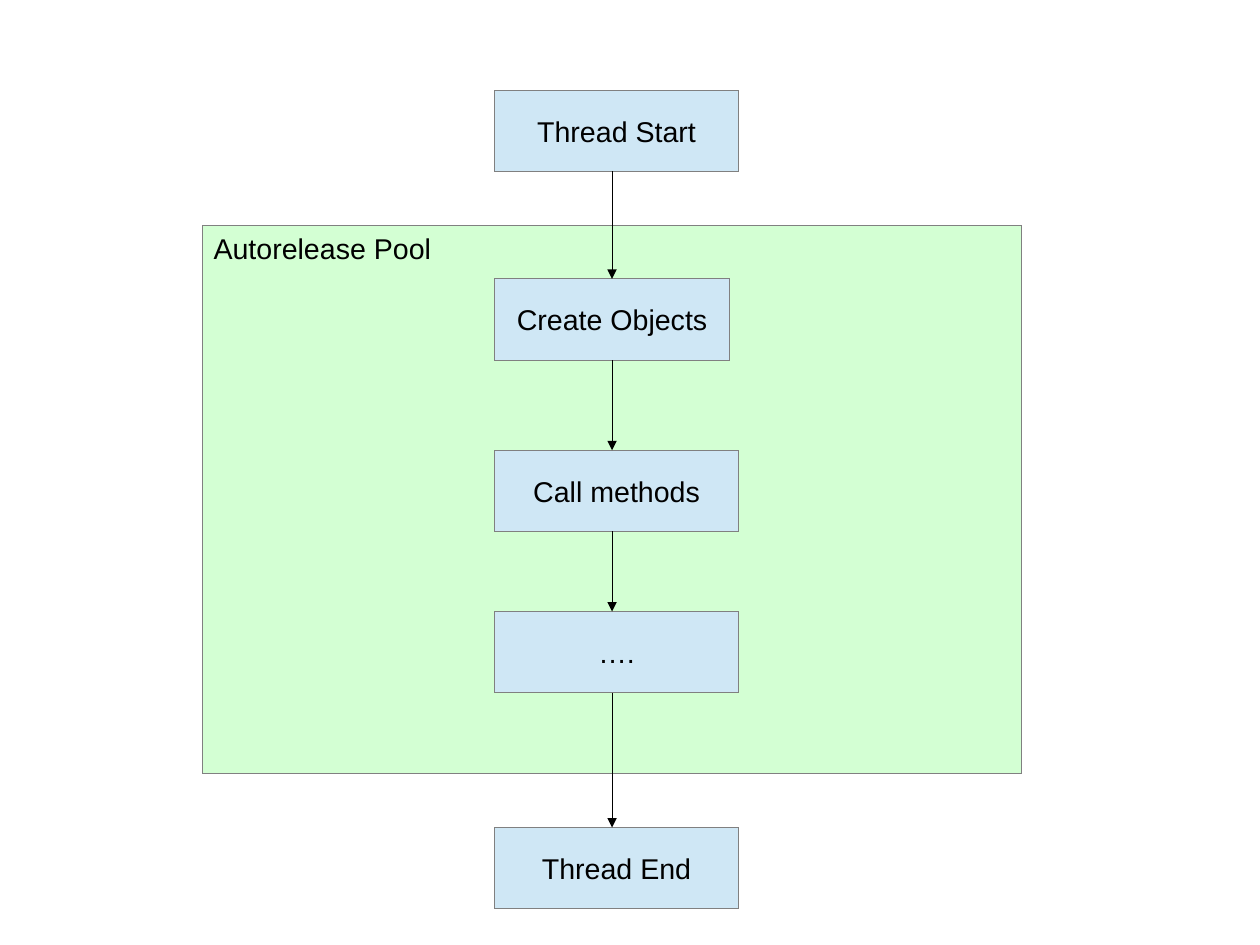
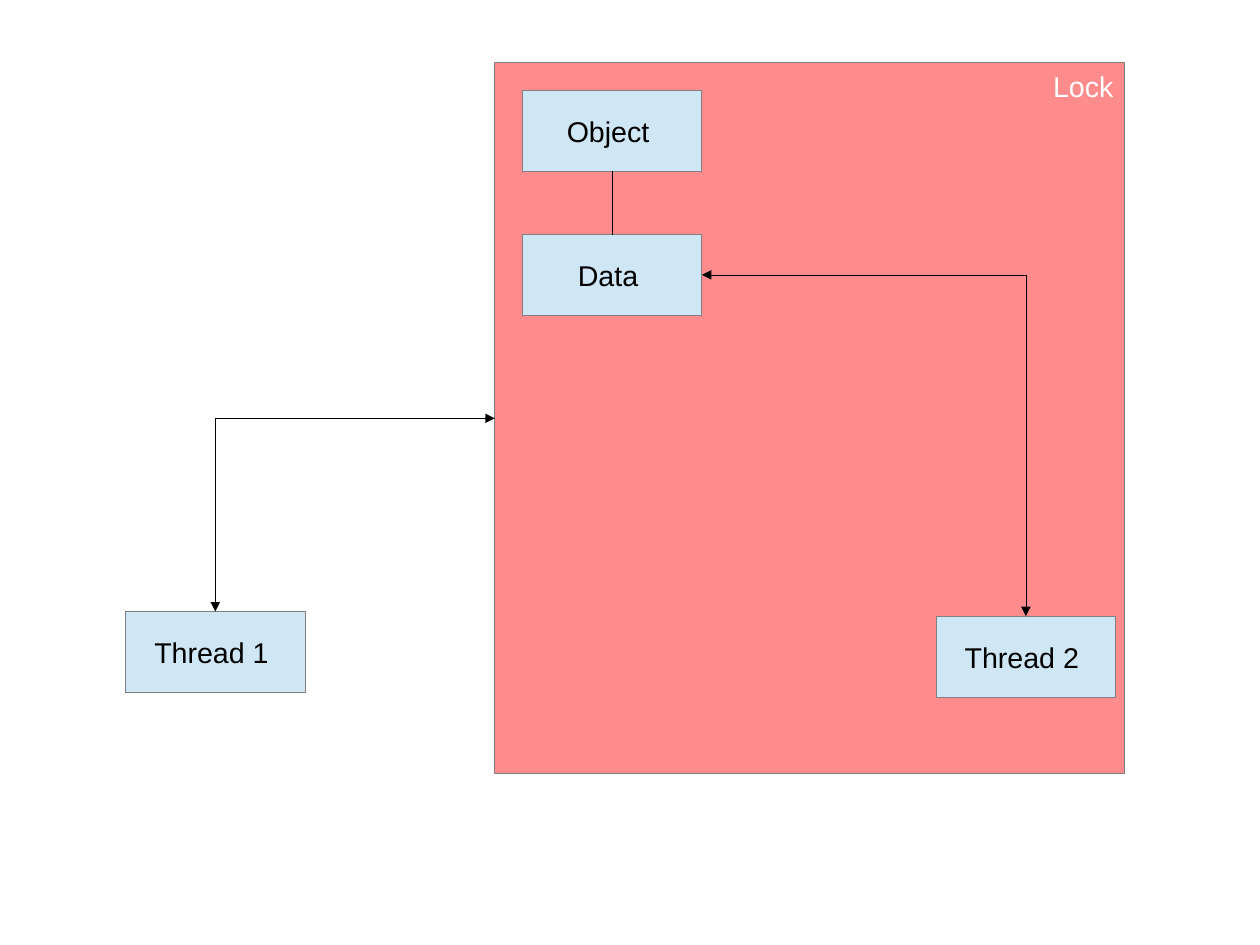
from itertools import pairwise

from lxml.etree import SubElement
from pptx import Presentation
from pptx.dml.color import RGBColor
from pptx.enum.shapes import MSO_CONNECTOR, MSO_SHAPE
from pptx.enum.text import MSO_ANCHOR, PP_ALIGN
from pptx.oxml.ns import qn
from pptx.util import Inches, Pt

SKY, GREY, BLACK, WHITE = "CFE7F5", "808080", "000000", "FFFFFF"
FONT = {"name": "Arial", "size": Pt(18)}
FRAME = {
    "word_wrap": True,
    "margin_left": Inches(0.1),
    "margin_right": Inches(0.1),
    "margin_top": Inches(0.05),
    "margin_bottom": Inches(0.05),
}
# The page is 28 by 21 cm.
PAGE = {"slide_width": Inches(28 / 2.54), "slide_height": Inches(21 / 2.54)}
TOP, LEFT, BOTTOM, RIGHT = range(4)
HIGH = 0.71


def apply(target, values):
    for name, value in values.items():
        setattr(target, name, value)


def paint(fill, color):
    fill.solid()
    fill.fore_color.rgb = RGBColor.from_string(color)


def stroke(shape, color):
    """Give a hairline; its zero width must be written out to beat the theme."""
    paint(shape.line.fill, color)
    edge = shape.element.spPr.find(qn("a:ln"))
    edge.set("w", "0")
    return edge


def box(slide, text, area, fill=SKY, ink=BLACK,
        align=PP_ALIGN.CENTER, anchor=MSO_ANCHOR.MIDDLE):
    shape = slide.shapes.add_shape(MSO_SHAPE.RECTANGLE, *map(Inches, area))
    shape.shadow.inherit = False
    paint(shape.fill, fill)
    stroke(shape, GREY)
    frame = shape.text_frame
    apply(frame, FRAME)
    frame.vertical_anchor = anchor
    para = frame.paragraphs[0]
    para.alignment = align
    run = para.add_run()
    run.text = text
    apply(run.font, FONT)
    run.font.color.rgb = RGBColor.from_string(ink)
    return shape


def zone(slide, text, area, fill, alpha, ink, align):
    """Draw a see-through area with its label in a top corner."""
    shape = box(slide, text, area, fill, ink, align, MSO_ANCHOR.TOP)
    color = shape.element.spPr.find(qn("a:solidFill"))[0]
    SubElement(color, qn("a:alpha")).set("val", str(alpha * 1000))
    return shape


def middle(shape, side):
    x = shape.left + shape.width // 2
    y = shape.top + shape.height // 2
    return {
        TOP: (x, shape.top),
        LEFT: (shape.left, y),
        BOTTOM: (x, shape.top + shape.height),
        RIGHT: (shape.left + shape.width, y),
    }[side]


def wire(slide, start, end, heads=(), bent=False, x=None):
    """Link two (shape, side) ends; x sets one place across for both ends."""
    mids = [middle(*start), middle(*end)]
    spots = [(px if x is None else x, py) for px, py in mids]
    kind = MSO_CONNECTOR.ELBOW if bent else MSO_CONNECTOR.STRAIGHT
    link = slide.shapes.add_connector(kind, *spots[0], *spots[1])
    joins = (link.begin_connect, link.end_connect)
    for join, stop, mid, spot in zip(joins, (start, end), mids, spots):
        if mid == spot:
            join(*stop)
    edge = stroke(link, BLACK)
    for head in heads:
        SubElement(edge, qn(f"a:{head}")).set("type", "triangle")
    props = link.element.spPr
    if bent:
        props.find(qn("a:prstGeom")).set("prst", "bentConnector2")
    SubElement(props, qn("a:effectLst"))


def pool(slide):
    zone(slide, "Autorelease Pool", (1.77, 1.97, 7.17, 4.8),
         "23FF23", 20, BLACK, PP_ALIGN.LEFT)
    steps = [
        box(slide, text, (4.33, top, wide, HIGH))
        for text, top, wide in (
            ("Thread Start", 0.79, 2.13),
            ("Create Objects", 2.44, 2.05),
            ("Call methods", 3.94, 2.13),
            ("….", 5.35, 2.13),
            ("Thread End", 7.24, 2.13),
        )
    ]
    x = middle(steps[1], TOP)[0]
    for upper, lower in pairwise(steps):
        wire(slide, (upper, BOTTOM), (lower, TOP), ["tailEnd"], x=x)


def lock(slide):
    area = zone(slide, "Lock", (4.33, 0.55, 5.51, 6.22),
                "FF0000", 45, WHITE, PP_ALIGN.RIGHT)
    thing, data, one, two = [
        box(slide, text, (left, top, 1.57, HIGH))
        for text, left, top in (
            ("Object ", 4.57, 0.79),
            ("Data ", 4.57, 2.05),
            ("Thread 1 ", 1.1, 5.35),
            ("Thread 2 ", 8.19, 5.39),
        )
    ]
    wire(slide, (thing, BOTTOM), (data, TOP))
    both = ["headEnd", "tailEnd"]
    wire(slide, (area, LEFT), (one, TOP), both, bent=True)
    wire(slide, (data, RIGHT), (two, TOP), both, bent=True)


def main():
    deck = Presentation()
    apply(deck, PAGE)
    for draw in (pool, lock):
        draw(deck.slides.add_slide(deck.slide_layouts[6]))
    deck.save("out.pptx")


if __name__ == "__main__":
    main()
